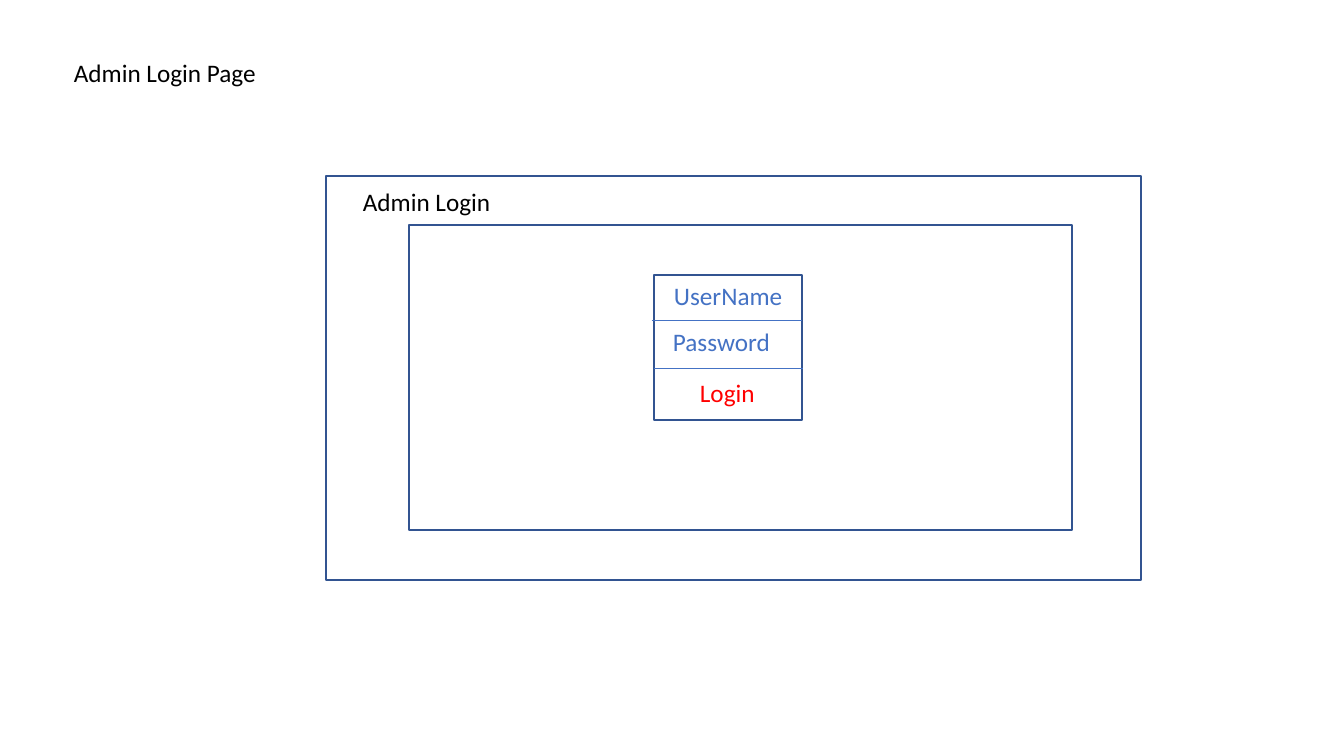
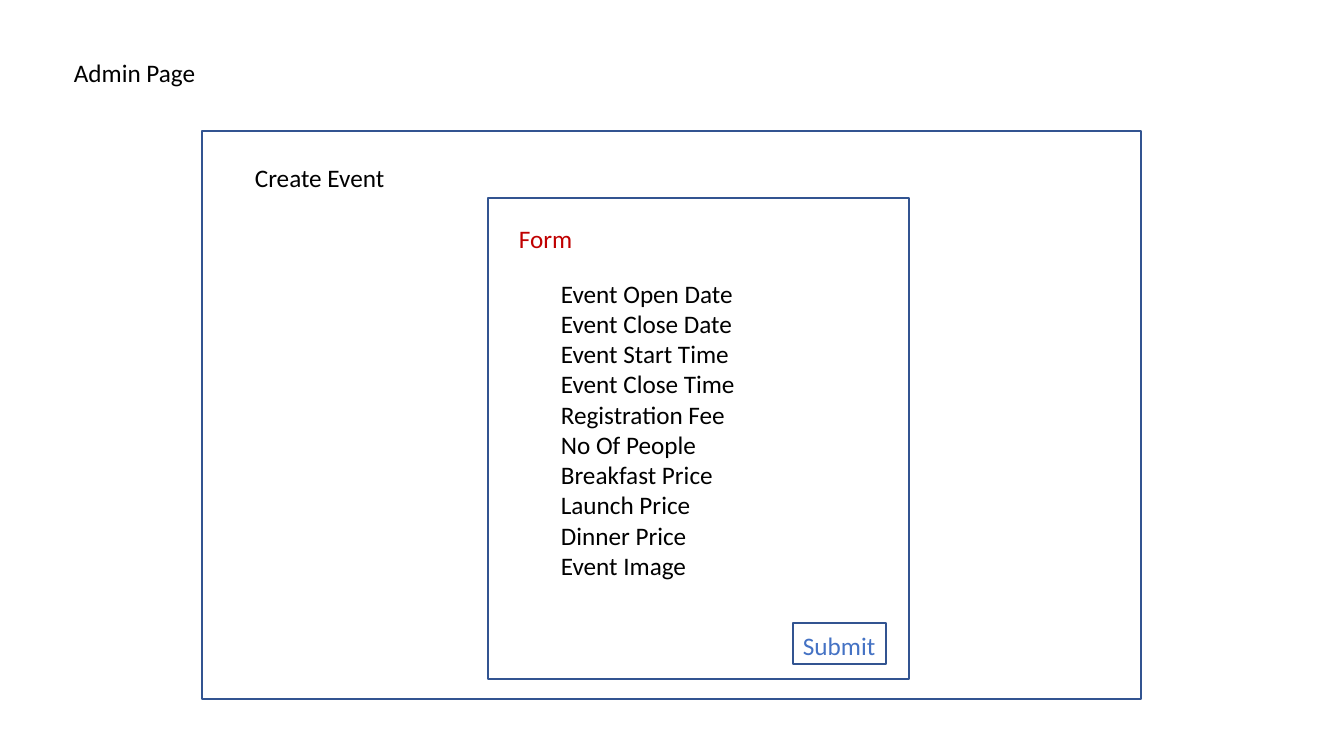
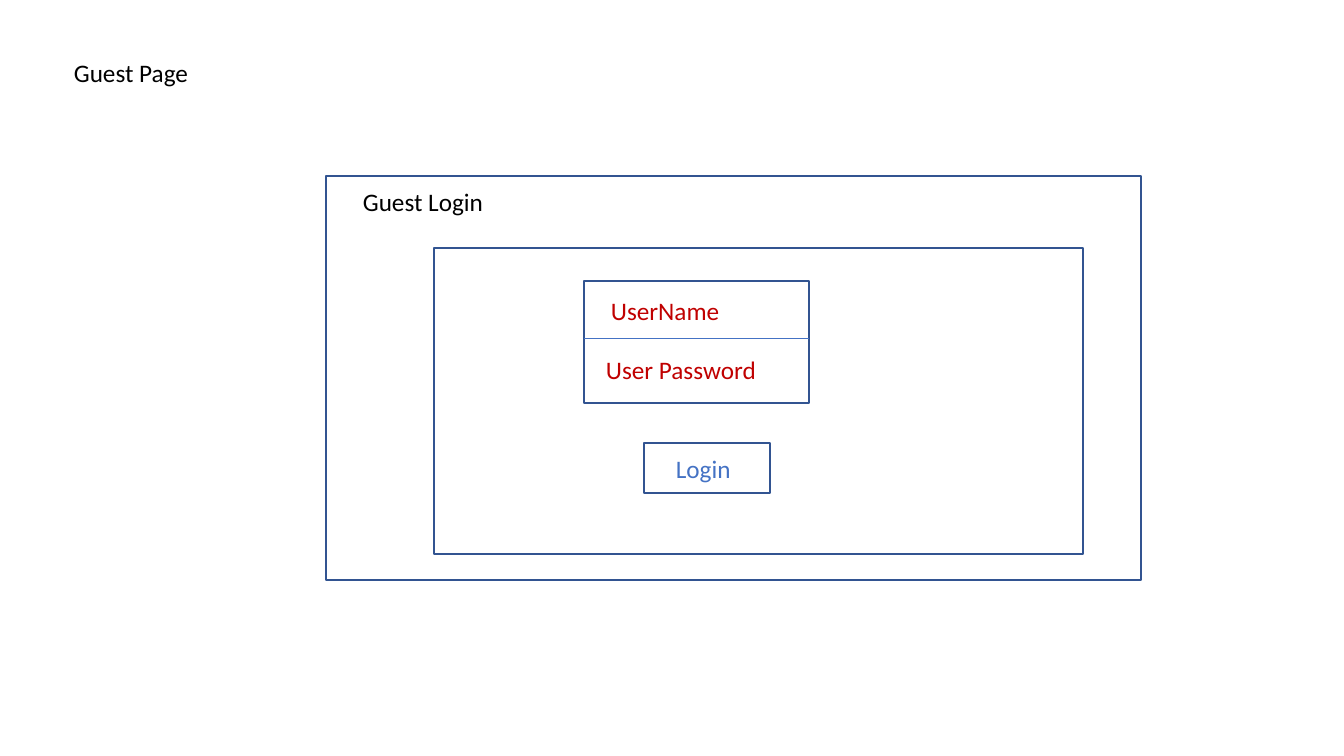
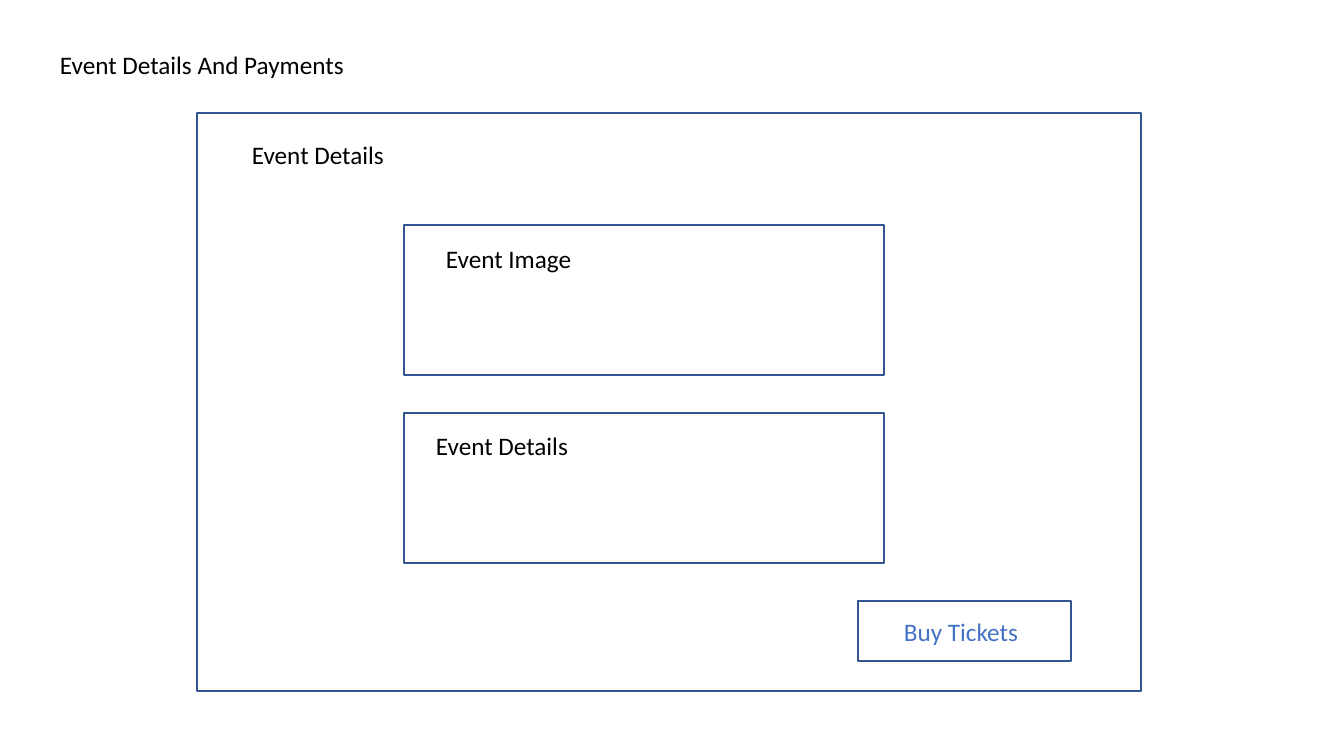
"""Four wireframe slides for an event booking site."""
from lxml import etree
from pptx import Presentation
from pptx.dml.color import RGBColor
from pptx.enum.dml import MSO_THEME_COLOR
from pptx.enum.shapes import MSO_CONNECTOR, MSO_SHAPE
from pptx.enum.text import MSO_AUTO_SIZE, PP_ALIGN
from pptx.oxml.ns import qn
from pptx.util import Emu, Pt

RECTANGLE = MSO_SHAPE.RECTANGLE
STRAIGHT = MSO_CONNECTOR.STRAIGHT
GROW = MSO_AUTO_SIZE.SHAPE_TO_FIT_TEXT
LEFT = PP_ALIGN.LEFT
BACKGROUND = MSO_THEME_COLOR.BACKGROUND_1

EMU_PER_PIXEL = 914400 / 100.8
SLIDE_SIZE = (1344, 756)
FONT, FONT_SIZE = "Calibri", 18
BLACK, BLUE, RED, DARK_RED = "000000", "4472C4", "FF0000", "C00000"
OUTLINE = "325491"
LINE_HEIGHT, TEXT_PADDING = 30, 10
TITLE_AT = (64, 52, 262)
HEADING_WIDTH = 264
LOGIN_FRAME, LOGIN_HEADING_AT = (326, 176, 815, 404), (353, 181)

EVENT_FIELDS = [
    "Event Open Date", "Event Close Date", "Event Start Time",
    "Event Close Time", "Registration Fee", "No Of People",
    "Breakfast Price", "Launch Price", "Dinner Price", "Event Image",
]

# Boxes: left, top, width, height. Dividers: left, right, y.
# Labels: lines, left, top, width, colour.
PAGES = [
    {
        "title": "Admin Login Page",
        "frame": LOGIN_FRAME,
        "heading": ("Admin Login", *LOGIN_HEADING_AT),
        "boxes": [(409, 225, 663, 305), (654, 275, 148, 145)],
        "dividers": [(652, 802, 320), (654, 803, 368)],
        "labels": [
            (["UserName"], 664, 275, 131, BLUE),
            (["Password"], 663, 321, 131, BLUE),
            (["Login"], 690, 372, 131, RED),
        ],
    },
    {
        "title": "Admin Page",
        "frame": (202, 131, 939, 568),
        "heading": ("Create Event", 245, 157),
        "boxes": [(488, 198, 421, 481), (793, 623, 93, 41)],
        "labels": [
            (["Form"], 509, 218, 161, DARK_RED),
            (["Submit"], 793, 625, 161, BLUE),
            (EVENT_FIELDS, 551, 273, 359, BLACK),
        ],
    },
    {
        "title": "Guest Page",
        "frame": LOGIN_FRAME,
        "heading": ("Guest Login", *LOGIN_HEADING_AT),
        "boxes": [(434, 248, 649, 306), (584, 281, 225, 122),
                  (644, 443, 126, 50)],
        "dividers": [(584, 809, 338)],
        "labels": [
            (["UserName"], 601, 290, 184, DARK_RED),
            (["User Password"], 596, 349, 184, DARK_RED),
            (["Login"], 666, 448, 184, BLUE),
        ],
    },
    {
        "title": "Event Details And Payments",
        "title_at": (50, 44, 340),
        "frame": (197, 113, 944, 578),
        "heading": ("Event Details", 242, 134),
        "boxes": [(404, 225, 480, 150), (404, 413, 480, 150),
                  (858, 601, 213, 60)],
        "labels": [
            (["Event Image"], 436, 238, 161, BLACK),
            (["Event Details"], 426, 425, 161, BLACK),
            (["Buy Tickets"], 894, 611, 166, BLUE),
        ],
    },
]


def px(length):
    """Turn picture pixels into EMU."""
    return Emu(round(length * EMU_PER_PIXEL))


def rgb(hex_colour):
    """Turn a hex string into a colour."""
    return RGBColor.from_string(hex_colour)


def add_box(slide, bounds):
    """Draw one white outlined rectangle."""
    box = slide.shapes.add_shape(RECTANGLE, *map(px, bounds))
    box.shadow.inherit = False
    box.fill.solid()
    box.fill.fore_color.theme_color = BACKGROUND
    box.line.color.rgb = rgb(OUTLINE)
    box.line.width = Pt(1)


def add_divider(slide, left, right, y):
    """Draw a thin horizontal line between two fields."""
    divider = slide.shapes.add_connector(
        STRAIGHT, px(left), px(y), px(right), px(y))
    divider.line.color.rgb = rgb(BLUE)
    divider.line.width = Pt(0.5)
    etree.SubElement(divider.element.spPr, qn("a:effectLst"))


def add_label(slide, lines, left, top, width, colour=BLACK):
    """Write one paragraph per line in a text box."""
    height = LINE_HEIGHT * len(lines) + TEXT_PADDING
    label = slide.shapes.add_textbox(*map(px, (left, top, width, height)))
    frame = label.text_frame
    frame.word_wrap = True
    frame.auto_size = GROW
    frame.text = "\n".join(lines)
    for paragraph in frame.paragraphs:
        paragraph.alignment = LEFT
        for run in paragraph.runs:
            run.font.name = FONT
            run.font.size = Pt(FONT_SIZE)
            run.font.color.rgb = rgb(colour)


def add_page(deck, page):
    """Build one wireframe slide from its content."""
    slide = deck.slides.add_slide(deck.slide_layouts[6])
    for bounds in [page["frame"], *page["boxes"]]:
        add_box(slide, bounds)
    for divider in page.get("dividers", []):
        add_divider(slide, *divider)
    add_label(slide, [page["title"]], *page.get("title_at", TITLE_AT))
    heading, left, top = page["heading"]
    add_label(slide, [heading], left, top, HEADING_WIDTH)
    for label in page["labels"]:
        add_label(slide, *label)


def main():
    """Build and save the deck."""
    deck = Presentation()
    deck.slide_width, deck.slide_height = map(px, SLIDE_SIZE)
    for page in PAGES:
        add_page(deck, page)
    deck.save("out.pptx")


main()
